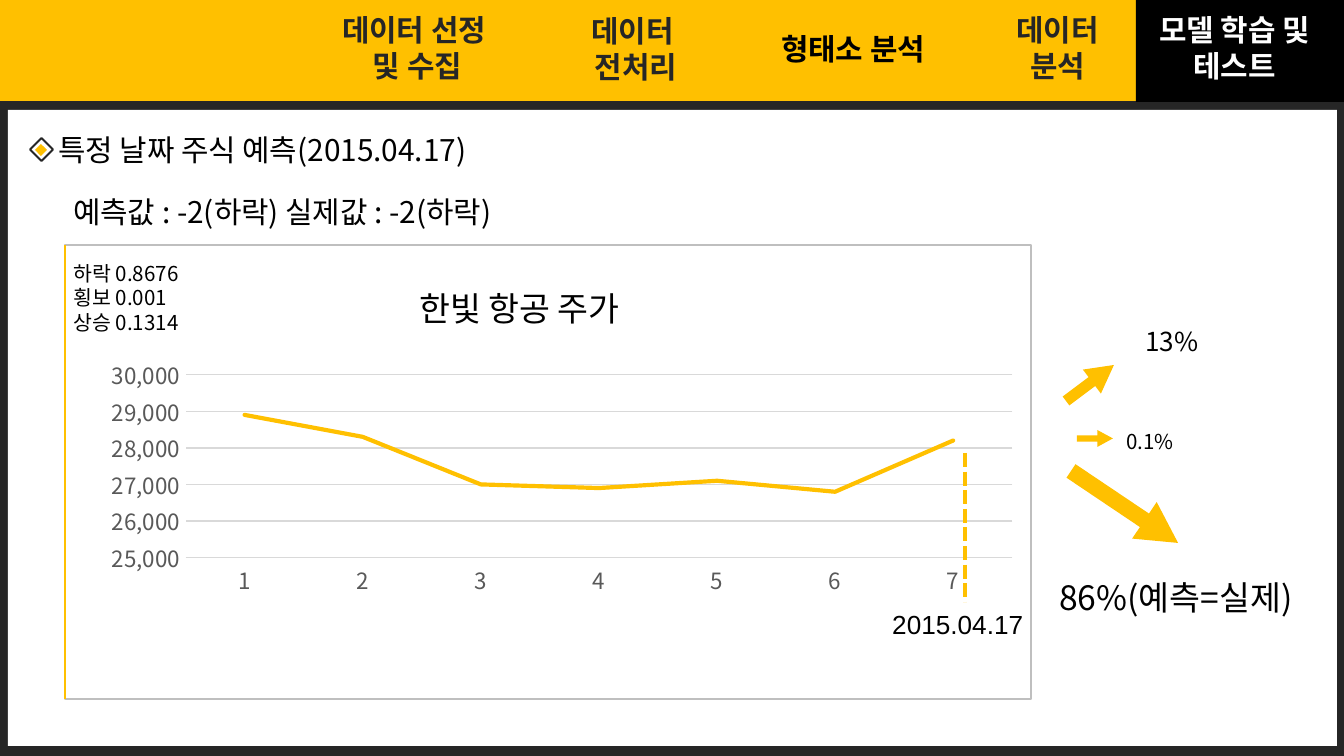
from dataclasses import dataclass

from lxml.etree import SubElement
from pptx import Presentation
from pptx.chart.data import CategoryChartData
from pptx.dml.color import RGBColor
from pptx.enum.chart import XL_CHART_TYPE, XL_MARKER_STYLE, XL_TICK_MARK
from pptx.enum.dml import MSO_LINE
from pptx.enum.shapes import MSO_CONNECTOR, MSO_SHAPE
from pptx.enum.text import MSO_AUTO_SIZE, PP_ALIGN
from pptx.oxml import parse_xml
from pptx.oxml.ns import nsdecls, qn
from pptx.util import Inches, Pt

PX = Inches(10) / 1344


@dataclass(frozen=True)
class Theme:
    dark: str = "262626"
    white: str = "FFFFFF"
    black: str = "000000"
    accent: str = "FFC000"
    axis: str = "595959"
    grid: str = "D9D9D9"
    border: str = "BFBFBF"
    font: str = "Noto Sans CJK KR"
    latin: str = "Arial"
    small: int = 11
    tick: int = 12
    label: int = 14
    body: int = 16
    large: int = 18


T = Theme()


def px(*values):
    return [round(v * PX) for v in values]


def rgb(value):
    return RGBColor.from_string(value)


def set_font(font, size, color, name=T.font, bold=None):
    font.size = Pt(size)
    font.name = name
    font.bold = bold
    font.color.rgb = rgb(color)


def set_line(line, color, width):
    line.color.rgb = rgb(color)
    line.width = Pt(width)


def add_shape(s, kind, box, fill=None, line=None, width=1.0):
    sp = s.shapes.add_shape(kind, *px(*box))
    sp.shadow.inherit = False
    if fill:
        sp.fill.solid()
        sp.fill.fore_color.rgb = rgb(fill)
    else:
        sp.fill.background()
    if line:
        set_line(sp.line, line, width)
    else:
        sp.line.fill.background()
    return sp


def add_arrow(s, box, angle):
    sp = add_shape(s, MSO_SHAPE.RIGHT_ARROW, box, T.accent)
    sp.adjustments[0] = 0.37
    sp.adjustments[1] = 0.92
    sp.rotation = angle


def add_text(s, box, lines, size, color=T.black, name=T.font, bold=None,
             align=None, wrap=True):
    tf = s.shapes.add_textbox(*px(*box)).text_frame
    tf.word_wrap = wrap
    tf.auto_size = MSO_AUTO_SIZE.SHAPE_TO_FIT_TEXT
    tf.text = "\n".join(lines)
    for p in tf.paragraphs:
        p.alignment = align
        set_font(p.font, size, color, name, bold)
        props = p._p.pPr.find(qn("a:defRPr"))
        SubElement(props, qn("a:ea")).set("typeface", T.font)


def add_line(s, start, end, width, dash=None):
    c = s.shapes.add_connector(MSO_CONNECTOR.STRAIGHT, *px(*start, *end))
    set_line(c.line, T.accent, width)
    if dash:
        c.line.dash_style = dash
    SubElement(c._element.spPr, qn("a:effectLst"))


def set_plot_layout(chart, **sizes):
    parts = "".join(f'<c:{k} val="{v}"/>' for k, v in sizes.items())
    layout = parse_xml(
        f'<c:layout {nsdecls("c")}><c:manualLayout><c:layoutTarget val="inner"/>'
        f'<c:xMode val="edge"/><c:yMode val="edge"/>{parts}'
        "</c:manualLayout></c:layout>")
    area = chart._chartSpace.chart.plotArea
    for old in area.findall(qn("c:layout")):
        area.remove(old)
    area.insert(0, layout)


def add_price_chart(s, box):
    data = CategoryChartData(number_format="#,##0")
    data.categories = [str(day) for day in range(1, 8)]
    data.add_series("Series 1", [28900, 28300, 27000, 26900, 27100, 26800, 28200])
    chart = s.shapes.add_chart(XL_CHART_TYPE.LINE, *px(*box), data).chart
    chart.has_legend = False
    chart.has_title = False
    set_font(chart.font, 10, T.black)
    set_plot_layout(chart, x=0.14, y=0.24, w=0.86, h=0.45)

    for axis in (chart.category_axis, chart.value_axis):
        axis.major_tick_mark = axis.minor_tick_mark = XL_TICK_MARK.NONE
        set_font(axis.tick_labels.font, T.tick, T.axis)
    set_line(chart.category_axis.format.line, T.grid, 0.75)

    values = chart.value_axis
    values.minimum_scale, values.maximum_scale = 25000, 30000
    values.major_unit = 1000
    values.tick_labels.number_format = "#,##0"
    values.tick_labels.number_format_is_linked = False
    values.format.line.fill.background()
    set_line(values.major_gridlines.format.line, T.grid, 0.75)

    plot = chart.plots[0]
    plot.vary_by_categories = False
    series = plot.series[0]
    series.smooth = False
    series.marker.style = XL_MARKER_STYLE.NONE
    set_line(series.format.line, T.accent, 2.25)
    series.format.line._get_or_add_ln().set("cap", "rnd")


def add_header(s):
    add_shape(s, MSO_SHAPE.RECTANGLE, (0, -1, 1345, 102), T.accent)
    add_shape(s, MSO_SHAPE.RECTANGLE, (1136, 0, 209, 102), T.black)
    tabs = [
        ((293, 5, 249, 86), ["데이터 선정 ", "및 수집"], T.dark),
        ((532, 6, 208, 86), ["데이터 ", "전처리"], T.dark),
        ((741, 24, 224, 50), ["형태소 분석"], T.black),
        ((974, 5, 167, 86), ["데이터 분석"], T.dark),
        ((1141, 5, 187, 86), ["모델 학습 및 테스트"], T.white),
    ]
    for box, lines, color in tabs:
        add_text(s, box, lines, T.body, color, bold=True, align=PP_ALIGN.CENTER)


def add_heading(s):
    add_shape(s, MSO_SHAPE.DIAMOND, (35, 144, 12, 12), T.accent)
    add_shape(s, MSO_SHAPE.DIAMOND, (30, 138, 23, 23), line=T.dark)
    add_text(s, (45, 125, 664, 50), ["특정 날짜 주식 예측(2015.04.17)"], T.body)
    add_text(s, (60, 187, 649, 50), ["예측값 : -2(하락) 실제값 : -2(하락)"], T.body)


def add_chart_panel(s):
    add_price_chart(s, (51, 277, 962, 407))
    add_shape(s, MSO_SHAPE.RECTANGLE, (65, 245, 966, 454), line=T.border, width=0.75)
    add_line(s, (65, 245), (65, 699), 1)
    add_text(s, (406, 281, 285, 54), ["한빛 항공 주가"], T.large, name=T.latin, wrap=False)
    add_text(s, (60, 254, 194, 89),
             ["하락 0.8676", "횡보 0.001", "상승 0.1314"], T.small)
    add_text(s, (879, 602, 164, 44), ["2015.04.17"], T.label, name=T.latin)
    add_line(s, (965, 453), (965, 602), 2.5, MSO_LINE.SQUARE_DOT)


def add_outcomes(s):
    add_arrow(s, (1060, 368, 60, 30), 323.1)
    add_arrow(s, (1077, 430, 36, 17), 0)
    add_arrow(s, (1060, 485, 129, 44), 33.9)
    add_text(s, (1132, 319, 195, 46), ["13%"], T.label)
    add_text(s, (1113, 422, 97, 39), ["0.1%"], T.small)
    add_text(s, (1046, 570, 301, 54), ["86%(예측=실제)"], T.large)


def main():
    prs = Presentation()
    prs.slide_width, prs.slide_height = px(1344, 756)
    s = prs.slides.add_slide(prs.slide_layouts[6])
    s.background.fill.solid()
    s.background.fill.fore_color.rgb = rgb(T.dark)
    add_shape(s, MSO_SHAPE.RECTANGLE, (8, 110, 1329, 636), T.white)
    add_heading(s)
    add_chart_panel(s)
    add_outcomes(s)
    add_header(s)
    prs.save("out.pptx")


if __name__ == "__main__":
    main()
